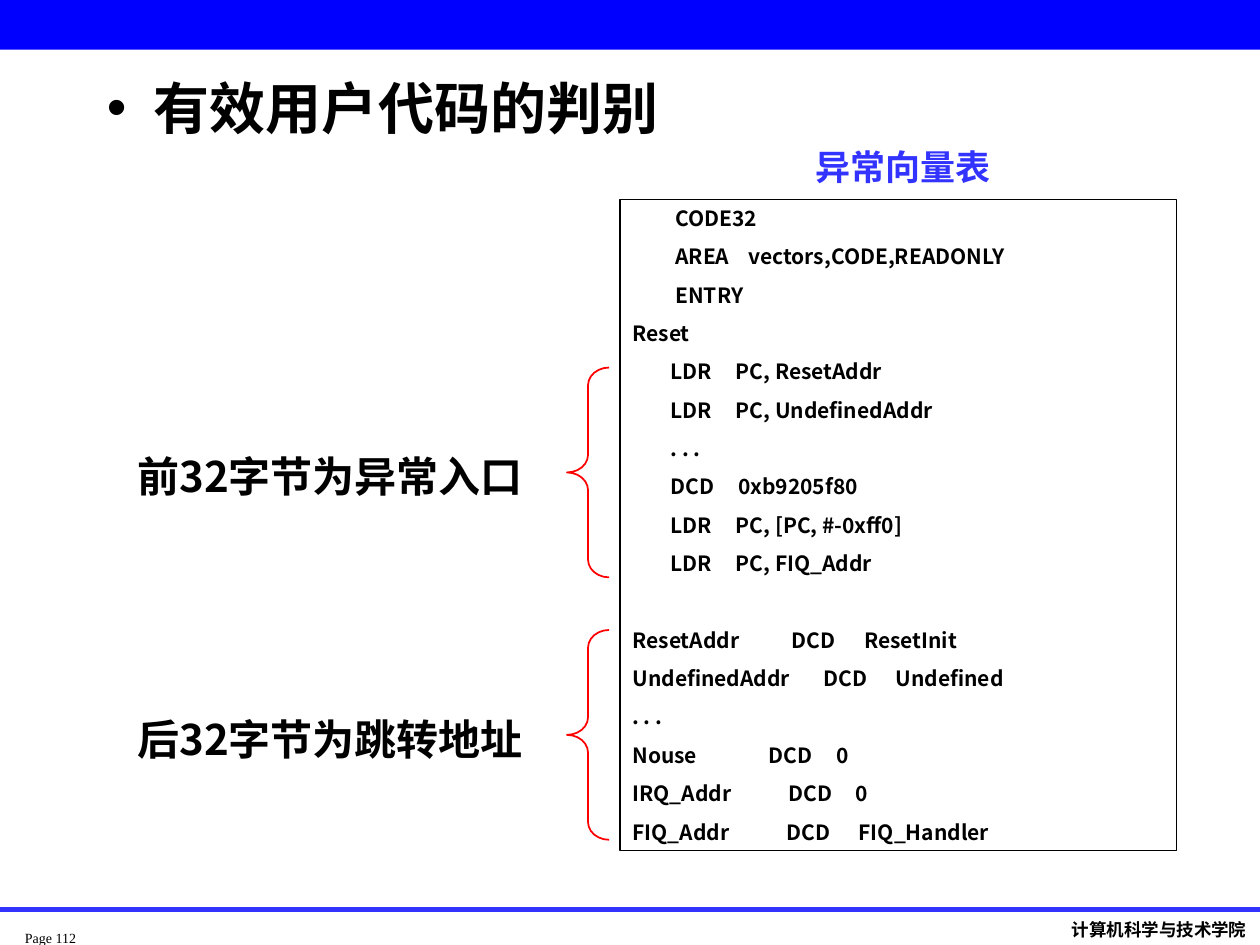
from lxml.etree import SubElement
from pptx import Presentation
from pptx.dml.color import RGBColor
from pptx.enum.shapes import MSO_CONNECTOR, MSO_SHAPE
from pptx.enum.text import MSO_ANCHOR, PP_ALIGN
from pptx.oxml.ns import qn
from pptx.util import Cm, Pt

BLACK = RGBColor(0x00, 0x00, 0x00)
WHITE = RGBColor(0xFF, 0xFF, 0xFF)
BLUE = RGBColor(0x00, 0x00, 0xFF)
VIOLET = RGBColor(0x33, 0x33, 0xFF)
RED = RGBColor(0xFF, 0x00, 0x00)
CJK_FONT = "Noto Sans CJK SC"
LINE_FACTOR = 1.28
CODE_PITCH = 21.9
CODE_GAP = 7.5

CODE_BLOCKS = [
    """         CODE32
         AREA    vectors,CODE,READONLY
         ENTRY
Reset
        LDR     PC, ResetAddr
        LDR     PC, UndefinedAddr
        . . .
        DCD     0xb9205f80
        LDR     PC, [PC, #-0xff0]
        LDR     PC, FIQ_Addr""",
    """ResetAddr           DCD      ResetInit
UndefinedAddr       DCD      Undefined
. . .
Nouse               DCD     0
IRQ_Addr            DCD     0
FIQ_Addr            DCD      FIQ_Handler""",
]

BRACES = [(7.41, "前32字节为异常入口"), (12.7, "后32字节为跳转地址")]


def format_paragraph(paragraph, size, color=BLACK, bold=True, name=CJK_FONT):
    """Set the font and an exact line height for one paragraph."""
    paragraph.line_spacing = Pt(round(size * LINE_FACTOR, 1))
    font = paragraph.font
    font.size, font.bold, font.name = Pt(size), bold, name
    font.color.rgb = color
    properties = paragraph._p.pPr.find(qn("a:defRPr"))
    SubElement(properties, qn("a:ea")).set("typeface", CJK_FONT)


def add_text(slide, box, text, size, align=PP_ALIGN.LEFT, margins=(0.25, 0.13), **style):
    """Add a one-line text box."""
    frame = slide.shapes.add_textbox(*map(Cm, box)).text_frame
    frame.word_wrap = True
    frame.margin_left = frame.margin_right = Cm(margins[0])
    frame.margin_top = frame.margin_bottom = Cm(margins[1])
    paragraph = frame.paragraphs[0]
    paragraph.text = text
    paragraph.alignment = align
    format_paragraph(paragraph, size, **style)
    return frame


def add_rectangle(slide, box, fill, line=None):
    """Add a filled rectangle, outlined when a line colour is given."""
    shape = slide.shapes.add_shape(MSO_SHAPE.RECTANGLE, *map(Cm, box))
    shape.shadow.inherit = False
    shape.fill.solid()
    shape.fill.fore_color.rgb = fill
    if line is None:
        shape.line.fill.background()
    else:
        shape.line.color.rgb = line
        shape.line.width = Pt(0.75)
    return shape


def add_footer_rule(slide):
    """Add the line above the footer."""
    rule = slide.shapes.add_connector(
        MSO_CONNECTOR.STRAIGHT, Cm(0), Cm(18.34), Cm(25.4), Cm(18.34))
    rule.line.color.rgb = VIOLET
    rule.line.width = Pt(3)
    SubElement(rule._element.spPr, qn("a:effectLst"))


def fill_title(slide, text):
    """Place the title and give it a hanging bullet."""
    title = slide.shapes.title
    title.left, title.top, title.width, title.height = map(Cm, (1.9, 1.27, 21.6, 1.7))
    frame = title.text_frame
    frame.vertical_anchor = MSO_ANCHOR.TOP
    paragraph = frame.paragraphs[0]
    paragraph.text = text
    paragraph.alignment = PP_ALIGN.LEFT
    properties = paragraph._p.get_or_add_pPr()
    properties.set("marL", str(Cm(0.95)))
    properties.set("indent", str(-Cm(0.95)))
    SubElement(properties, qn("a:buFont")).set("typeface", "Arial")
    SubElement(properties, qn("a:buChar")).set("char", "•")
    format_paragraph(paragraph, 32)


def add_code(slide, box):
    """Add the outlined vector table, one paragraph for each code line."""
    shape = add_rectangle(slide, box, WHITE, BLACK)
    frame = shape.text_frame
    frame.word_wrap = True
    frame.vertical_anchor = MSO_ANCHOR.TOP
    for block_number, block in enumerate(CODE_BLOCKS):
        for line_number, line in enumerate(block.splitlines()):
            first = block_number == 0 and line_number == 0
            paragraph = frame.paragraphs[0] if first else frame.add_paragraph()
            paragraph.text = line
            paragraph.alignment = PP_ALIGN.LEFT
            format_paragraph(paragraph, 12)
            paragraph.line_spacing = Pt(CODE_PITCH - CODE_GAP)
            if not first:
                new_block = line_number == 0
                paragraph.space_before = Pt(CODE_GAP + CODE_PITCH * new_block)


def add_brace(slide, top, label):
    """Add a red brace and the label on its left."""
    brace = slide.shapes.add_shape(
        MSO_SHAPE.LEFT_BRACE, Cm(11.43), Cm(top), Cm(0.85), Cm(4.23))
    brace.shadow.inherit = False
    brace.adjustments[0] = 0.42
    brace.fill.background()
    brace.line.color.rgb = RED
    brace.line.width = Pt(1)
    frame = add_text(slide, (2.52, top + 1.48, 8.7, 2.29), label, 24)
    frame.word_wrap = False


def main():
    """Build the slide and save it."""
    presentation = Presentation()
    presentation.slide_width, presentation.slide_height = Cm(25.4), Cm(19.05)
    slide = presentation.slides.add_slide(presentation.slide_layouts[5])
    add_rectangle(slide, (0, 0, 25.4, 1), BLUE)
    add_footer_rule(slide)
    add_text(slide, (0.5, 18.72, 1.6, 0.33), "Page 112", 8, margins=(0, 0),
             bold=False, name="Times New Roman")
    school = add_text(slide, (21.36, 18.36, 4.04, 0.69), "计算机科学与技术学院", 10,
                      name="Karla")
    school.word_wrap = False
    fill_title(slide, "有效用户代码的判别")
    add_code(slide, (12.5, 4.02, 11.22, 13.13))
    add_text(slide, (14.6, 2.75, 7.2, 1.12), "异常向量表", 20, PP_ALIGN.CENTER,
             color=VIOLET)
    for top, label in BRACES:
        add_brace(slide, top, label)
    presentation.save("out.pptx")


if __name__ == "__main__":
    main()
